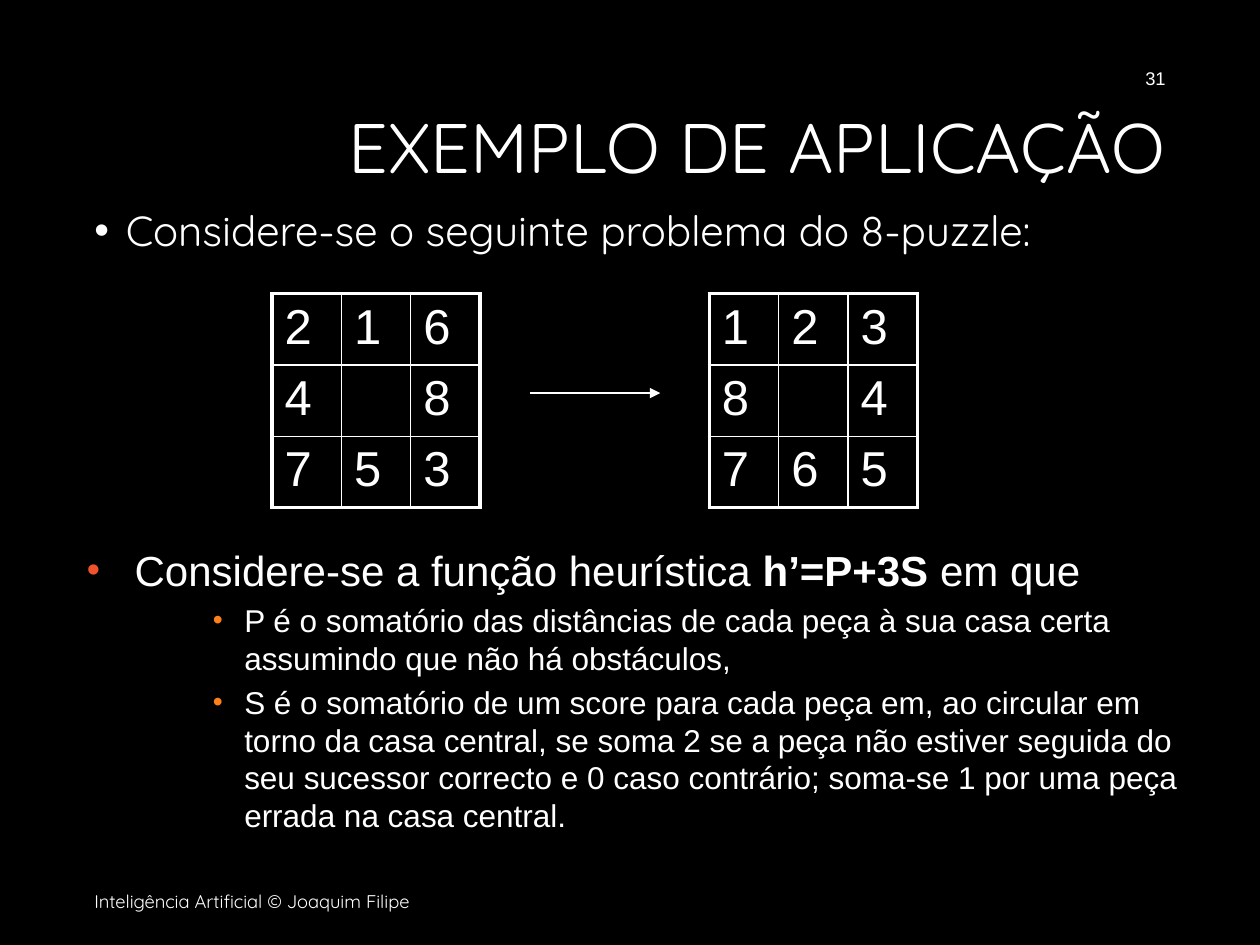
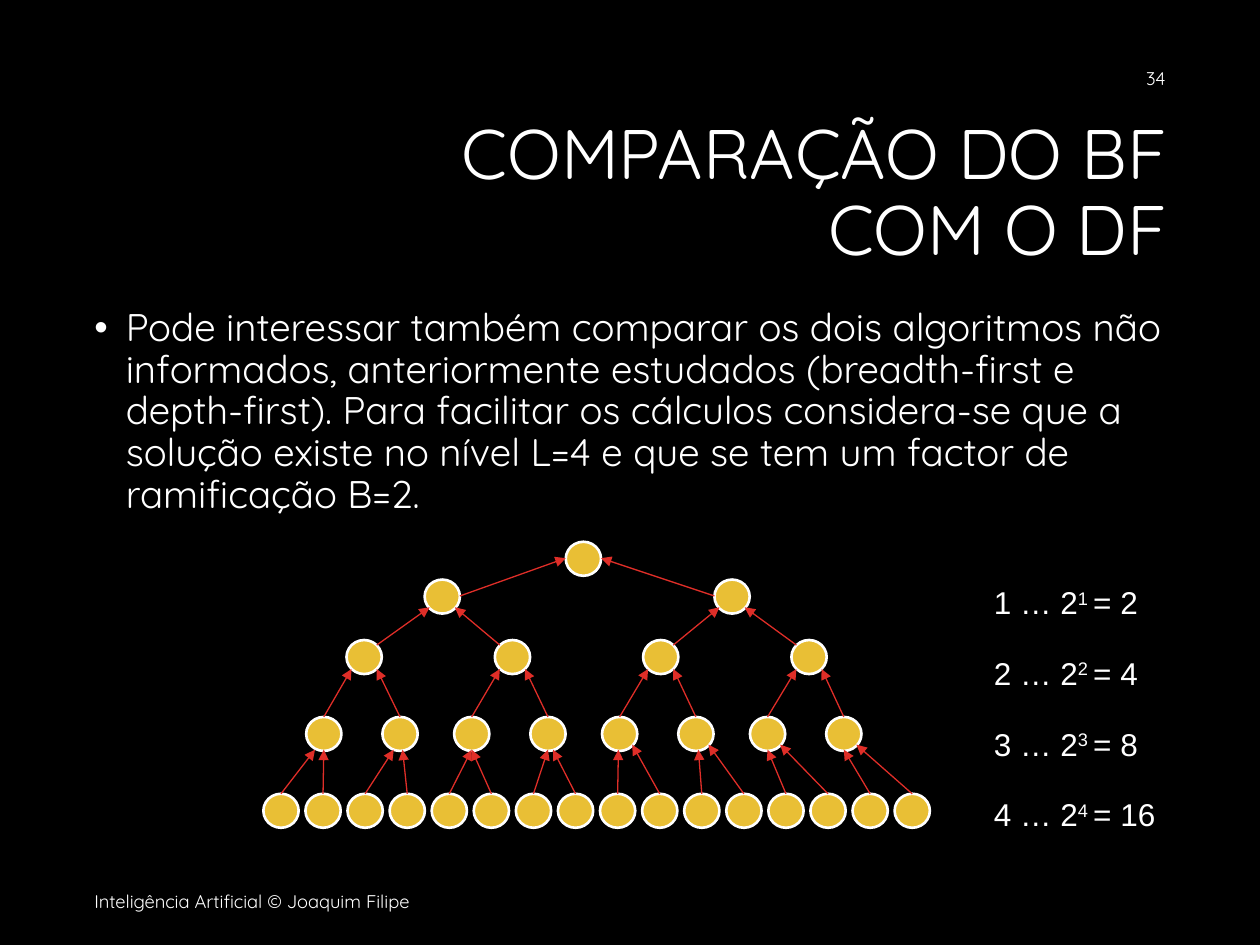
from lxml.etree import SubElement
from pptx import Presentation
from pptx.dml.color import RGBColor
from pptx.enum.shapes import MSO_CONNECTOR as Connector, MSO_SHAPE as Shape
from pptx.enum.text import MSO_ANCHOR as Anchor, MSO_AUTO_SIZE as AutoSize, PP_ALIGN as Align
from pptx.oxml.ns import qn
from pptx.util import Inches, Pt

COLOURS = {
    "background": "000000",
    "text": "FFFFFF",
    "bullet": "F0532B",
    "sub_bullet": "FE801A",
    "node": "E9BF35",
    "branch": "DF2E28",
}
RGB = {name: RGBColor.from_string(value) for name, value in COLOURS.items()}
HEADING_FONT, BODY_FONT = "Quicksand", "Arial"

presentation = Presentation()
presentation.slide_width, presentation.slide_height = Inches(10), Inches(7.5)
COLUMN = presentation.slide_width / 100
ROW = presentation.slide_height / 75

master_fill = presentation.slide_master.background.fill
master_fill.solid()
master_fill.fore_color.rgb = RGB["background"]


def place(left, top, width, height):
    return [round(length) for length in (left * COLUMN, top * ROW, width * COLUMN, height * ROW)]


def write(frame, paragraphs, font, size, anchor=Anchor.TOP):
    for name, value in {"word_wrap": True, "auto_size": AutoSize.NONE, "vertical_anchor": anchor}.items():
        setattr(frame, name, value)
    for index, (runs, settings) in enumerate(paragraphs):
        paragraph = frame.add_paragraph() if index else frame.paragraphs[0]
        settings = dict(settings)
        bullet, margin, indent = settings.pop("bullet", (None, 0, 0))
        text_size = settings.pop("size", size)
        for name, value in settings.items():
            setattr(paragraph, name, value)
        if bullet:
            properties = paragraph._p.get_or_add_pPr()
            properties.set("marL", str(Inches(margin)))
            properties.set("indent", str(-Inches(indent)))
            colour = SubElement(properties, qn("a:buClr"))
            SubElement(colour, qn("a:srgbClr"), val=COLOURS[bullet])
            SubElement(properties, qn("a:buSzPct"), val="100000" if bullet == "text" else "90000")
            SubElement(properties, qn("a:buFont"), typeface="Arial")
            SubElement(properties, qn("a:buChar"), char="•")
        for text, style in runs:
            run = paragraph.add_run()
            run.text = text
            run.font.color.rgb = RGB["text"]
            for name, value in {"name": font, "size": Pt(text_size), "bold": style == "bold"}.items():
                setattr(run.font, name, value)
            if style == "superscript":
                run.font._element.set("baseline", "30000")


PAGES = [
    {
        "title": "EXEMPLO DE APLICAÇÃO",
        "title_box": (15.3, 8.4, 78.2, 7.1),
        "body": "Considere-se o seguinte problema do 8-puzzle:",
        "body_box": (6.5, 16.2, 87, 52.3),
        "body_size": 24,
        "number": "31",
        "number_font": BODY_FONT,
    },
    {
        "title": "COMPARAÇÃO DO BF COM O DF",
        "title_box": (23.8, 8.4, 69.8, 14.1),
        "body": "Pode interessar também comparar os dois algoritmos não informados, anteriormente "
                "estudados (breadth-first e depth-first). Para facilitar os cálculos considera-se que a "
                "solução existe no nível L=4 e que se tem um factor de ramificação B=2.",
        "body_box": (6.5, 24, 87, 44.5),
        "body_size": 22,
        "number": "34",
        "number_font": HEADING_FONT,
    },
]

slides = []
for page in PAGES:
    slide = presentation.slides.add_slide(presentation.slide_layouts[5])
    slides.append(slide)
    title = slide.shapes.title
    title.left, title.top, title.width, title.height = place(*page["title_box"])
    write(title.text_frame, [([(page["title"], None)], {"alignment": Align.RIGHT, "line_spacing": 0.9})],
          HEADING_FONT, 40, Anchor.MIDDLE)
    body = slide.shapes.add_textbox(*place(*page["body_box"]))
    body_settings = {"line_spacing": 0.9, "space_before": Pt(10), "bullet": ("text", 0.25, 0.25)}
    write(body.text_frame, [([(page["body"], None)], body_settings)], HEADING_FONT, page["body_size"])
    footer = slide.shapes.add_textbox(*place(6.5, 69.5, 62.1, 4))
    write(footer.text_frame, [([("Inteligência Artificial © Joaquim Filipe", None)], {})],
          HEADING_FONT, 10.5, Anchor.MIDDLE)
    number = slide.shapes.add_textbox(*place(71.9, 4.2, 21.6, 4))
    write(number.text_frame, [([(page["number"], None)], {"alignment": Align.RIGHT})],
          page["number_font"], 10.5, Anchor.MIDDLE)

puzzle_slide, tree_slide = slides

heuristic = puzzle_slide.shapes.add_textbox(*place(5.9, 42.7, 91.5, 12.9))
term_settings = {"level": 2, "size": 18, "space_before": Pt(3.6), "bullet": ("sub_bullet", 1.25, 0.25)}
write(heuristic.text_frame, [
    ([("Considere-se a função heurística ", None), ("h’=P+3S", "bold"), (" em que", None)],
     {"space_before": Pt(4.8), "bullet": ("bullet", 0.38, 0.38)}),
    ([("P é o somatório das distâncias de cada peça à sua casa certa assumindo que não há obstáculos,", None)],
     term_settings),
    ([("S é o somatório de um score para cada peça em, ao circular em torno da casa central, se soma 2 "
       "se a peça não estiver seguida do seu sucessor correcto e 0 caso contrário; soma-se 1 por uma "
       "peça errada na casa central.", None)], term_settings),
], BODY_FONT, 24)

for puzzle_left, puzzle_rows in [(21.6, ("216", "4 8", "753")), (56.3, ("123", "8 4", "765"))]:
    puzzle = puzzle_slide.shapes.add_table(3, 3, *place(puzzle_left, 23.3, 16.5, 17)).table
    puzzle.first_row = puzzle.horz_banding = False
    for row, tiles in enumerate(puzzle_rows):
        for column, tile in enumerate(tiles):
            cell = puzzle.cell(row, column)
            outer_sides = {"L": column == 0, "R": column == 2, "T": row == 0, "B": row == 2}
            for side, outer in outer_sides.items():
                border = SubElement(cell._tc.get_or_add_tcPr(), qn(f"a:ln{side}"),
                                    w=str(Pt(2.25 if outer else 1)))
                SubElement(SubElement(border, qn("a:solidFill")), qn("a:srgbClr"), val=COLOURS["text"])
            cell.fill.background()
            if tile != " ":
                paragraph = cell.text_frame.paragraphs[0]
                paragraph.space_before = Pt(5.6)
                run = paragraph.add_run()
                run.text = tile
                run.font.color.rgb = RGB["text"]
                for name, value in {"name": BODY_FONT, "size": Pt(28)}.items():
                    setattr(run.font, name, value)

arrows = [(puzzle_slide, (42.1, 31.2), (52.4, 31.2), "text")]

NODE_WIDTH, NODE_HEIGHT = 2.8, 2.7
LEVEL_TOPS = [43, 46, 50.8, 56.9, 63]
LEVEL_LEFTS = [
    [44.9],
    [33.7, 56.7],
    [27.5 + 11.77 * index for index in range(4)],
    [24.3 + 11.74 * (index // 2) + 6.05 * (index % 2) for index in range(8)],
    [20.9 + 3.34 * index for index in range(16)],
]
LEAF_TIPS = [0.7, 1.4, 0.9, 1.6, 1.4, 1.4, 1.4, 1.8, 1.3, 2.4, 1.6, 2.4, 1.4, 2.4, 1.4, 2.4]

for level, (top, lefts) in enumerate(zip(LEVEL_TOPS, LEVEL_LEFTS)):
    for index, left in enumerate(lefts):
        node = tree_slide.shapes.add_shape(Shape.OVAL, *place(left, top, NODE_WIDTH, NODE_HEIGHT))
        node.shadow.inherit = False
        node.fill.solid()
        node.fill.fore_color.rgb = RGB["node"]
        node.line.color.rgb = RGB["text"]
        node.line.width = Pt(1.5)
        if level == 0:
            continue
        is_right = index % 2
        if level == 1:
            start, tip = (0 if is_right else NODE_WIDTH, 1.3), (NODE_WIDTH if is_right else 0, 1.3)
        elif level == 2:
            start, tip = (0.4 if is_right else 2.4, 0.4), (2.4 if is_right else 0.4, 2.2)
        elif level == 3:
            start, tip = (1.4, 0), (2.4 if is_right else 0.4, 2.3)
        else:
            start, tip = (1.4, 0), (LEAF_TIPS[index], 2.2 if LEAF_TIPS[index] > 2 else 2.6)
        parent_left, parent_top = LEVEL_LEFTS[level - 1][index // 2], LEVEL_TOPS[level - 1]
        arrows.append((tree_slide, (left + start[0], top + start[1]),
                       (parent_left + tip[0], parent_top + tip[1]), "branch"))

for slide, start, end, colour in arrows:
    arrow = slide.shapes.add_connector(Connector.STRAIGHT, *place(*start, *end))
    arrow.line.color.rgb = RGB[colour]
    arrow.line.width = Pt(0.75)
    SubElement(arrow.line._get_or_add_ln(), qn("a:tailEnd"), type="triangle")
    SubElement(arrow._element.spPr, qn("a:effectLst"))

node_counts = tree_slide.shapes.add_textbox(*place(77.9, 44.3, 16.2, 22))
write(node_counts.text_frame, [
    ([(f"{level} … 2", None), (f"{level} ", "superscript"), (f"= {2 ** level}", None)],
     {"line_spacing": 1.5, "space_before": Pt(8)})
    for level in range(1, 5)
], BODY_FONT, 18)

presentation.save("out.pptx")
